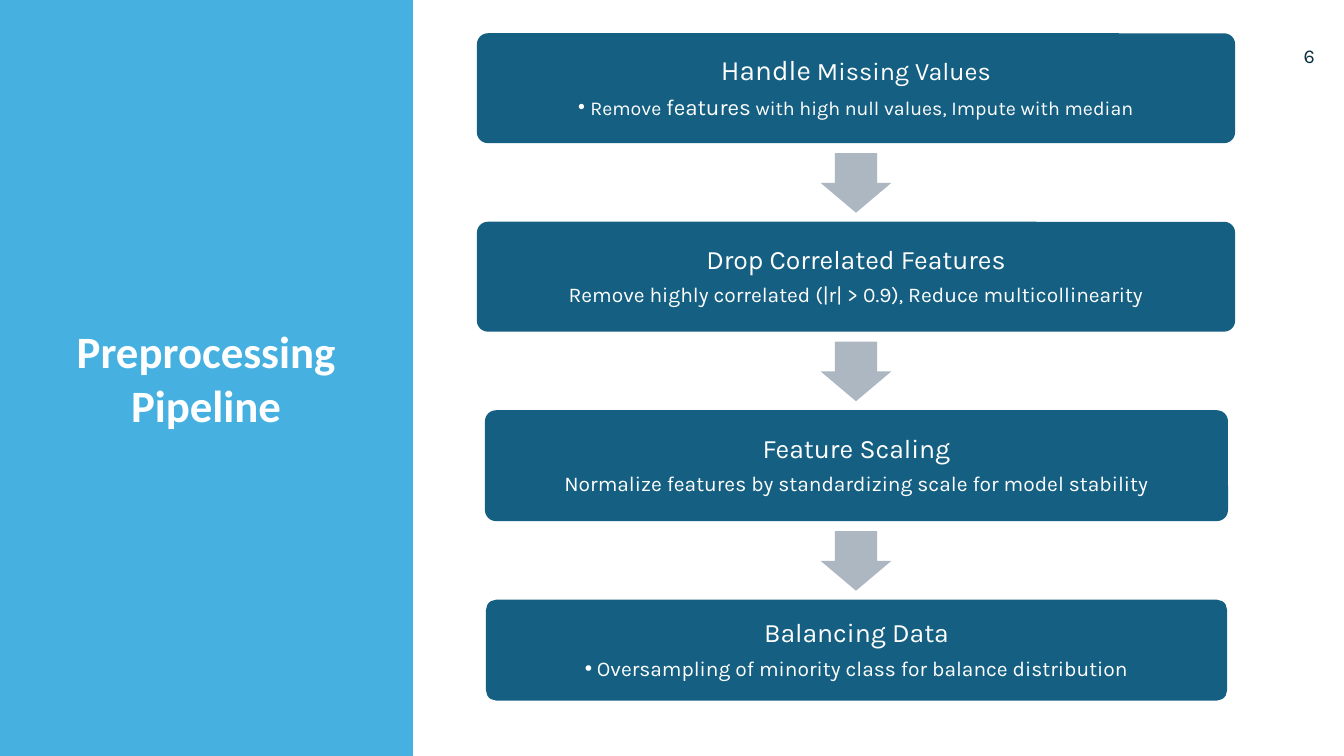
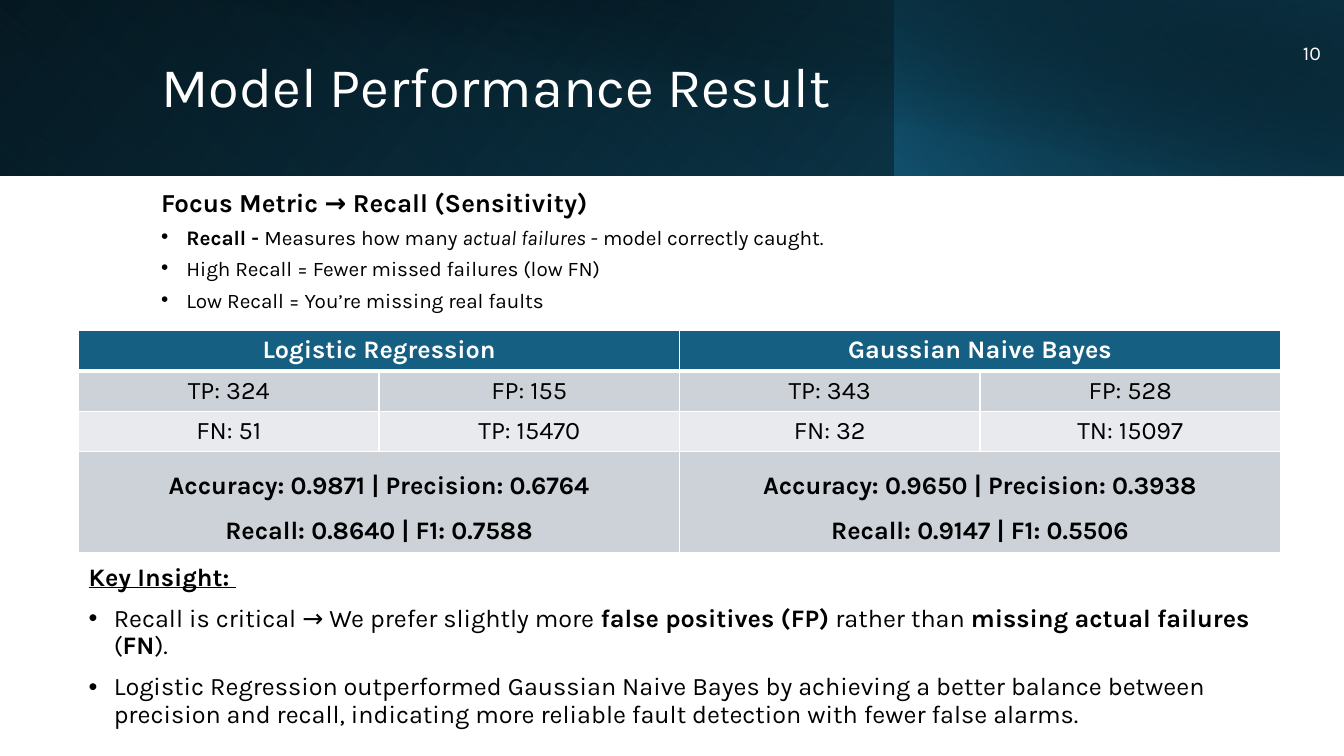
from dataclasses import dataclass
from typing import NamedTuple, Optional

from lxml import etree
from pptx import Presentation
from pptx import util as u
from pptx.dml.color import RGBColor
from pptx.enum import shapes, text
from pptx.oxml import ns

PX = 9144  # EMU per px, 100 px to the inch
WIDTH, HEIGHT = 1333, 750

WHITE = RGBColor(0xFF, 0xFF, 0xFF)
BLACK = RGBColor(0x00, 0x00, 0x00)
TEAL = RGBColor(0x15, 0x60, 0x82)
DEEP_TEAL = RGBColor(0x10, 0x48, 0x62)
NAVY = RGBColor(0x0B, 0x30, 0x41)
SKY = RGBColor(0x46, 0xB1, 0xE1)
ARROW_GREY = RGBColor(0xAC, 0xB7, 0xC1)
ROW_GREY = RGBColor(0xCC, 0xD2, 0xD8)
ROW_LIGHT = RGBColor(0xE8, 0xEA, 0xED)

BODY_FONT, PANEL_FONT = "Karla", "Calibri"
LEFT, CENTER, RIGHT = text.PP_ALIGN.LEFT, text.PP_ALIGN.CENTER, text.PP_ALIGN.RIGHT
RECTANGLE = shapes.MSO_SHAPE.RECTANGLE


class Box(NamedTuple):
    left: int
    top: int
    width: int
    height: int

    def emu(self) -> list[u.Emu]:
        return [u.Emu(length * PX) for length in self]


class Run(NamedTuple):
    text: str
    size: Optional[float] = None
    bold: Optional[bool] = None
    italic: Optional[bool] = None
    underline: Optional[bool] = None


@dataclass(frozen=True)
class Paragraph:
    runs: tuple[Run, ...]
    size: float
    color: RGBColor = BLACK
    bold: bool = False
    font: str = BODY_FONT
    align: text.PP_ALIGN = LEFT
    line_spacing: float = 1.0
    before: float = 0
    after: float = 0
    hanging: int = 0
    bullet: bool = False


class Card(NamedTuple):
    width: int
    height: int
    title: tuple[Run, ...]
    detail: tuple[Run, ...]
    title_size: float = 19
    detail_size: float = 15
    bullet: bool = False


class Stop(NamedTuple):
    position: int
    color: RGBColor
    opacity: int = 100


class Gradient(NamedTuple):
    box: Box
    angle: int  # clockwise, in degrees
    stops: tuple[Stop, Stop]


class Model(NamedTuple):
    name: str
    counts: tuple[tuple[str, str], tuple[str, str]]
    scores: tuple[str, str]


CARD_CENTER, CARD_TOP, CARD_GAP = 849, 33, 78
ARROW_WIDTH, ARROW_HEIGHT = 70, 59
CARDS = (
    Card(752, 109, (Run("Handle", 20), Run(" Missing Values")),
         (Run("Remove "), Run("features", 16),
          Run(" with high null values, Impute with median")), 18, 14, True),
    Card(752, 109, (Run("Drop Correlated Features"),),
         (Run("Remove highly correlated (|r| > 0.9), Reduce multicollinearity"),)),
    Card(737, 110, (Run("Feature Scaling"),),
         (Run("Normalize features by standardizing scale for model stability"),)),
    Card(735, 100, (Run("Balancing Data"),),
         (Run("Oversampling of minority class for balance distribution"),), bullet=True),
)

BAND_HEIGHT = 174
HEADER_BAND = (
    Gradient(Box(0, 0, WIDTH, BAND_HEIGHT), 40, (Stop(0, BLACK), Stop(100, DEEP_TEAL))),
    Gradient(Box(0, 0, 888, BAND_HEIGHT), 130, (Stop(20, TEAL, 0), Stop(100, NAVY, 55))),
    Gradient(Box(887, 0, 446, BAND_HEIGHT), 320, (Stop(0, TEAL, 66), Stop(100, BLACK, 30))),
    Gradient(Box(50, 0, 1283, BAND_HEIGHT + 1), 280, (Stop(50, BLACK, 0), Stop(99, NAVY, 52))),
)

FOCUS_POINTS = (
    (Run("Recall - ", bold=True), Run("Measures how many "),
     Run("actual failures", italic=True), Run(" - model correctly caught.")),
    (Run("High Recall = Fewer missed failures (low FN)"),),
    (Run("Low Recall = You’re missing real faults"),),
)
INSIGHTS = (
    (Run("Recall is critical → We prefer slightly more "),
     Run("false positives (FP)", bold=True), Run(" rather than "),
     Run("missing actual failures ", bold=True), Run("("), Run("FN", bold=True), Run(").")),
    (Run("Logistic Regression outperformed Gaussian Naive Bayes by achieving a better "
         "balance between precision and recall, indicating more reliable fault detection "
         "with fewer false alarms."),),
)
MODELS = (
    Model("Logistic Regression", (("TP: 324", "FP: 155"), ("FN: 51", "TP: 15470")),
          ("Accuracy: 0.9871 | Precision: 0.6764", "Recall: 0.8640 | F1: 0.7588")),
    Model("Gaussian Naive Bayes", (("TP: 343", "FP: 528"), ("FN: 32", "TN: 15097")),
          ("Accuracy: 0.9650 | Precision: 0.3938", "Recall: 0.9147 | F1: 0.5506")),
)
TABLE_BOX = Box(78, 328, 1192, 216)
ROW_HEIGHTS = (40, 39, 39, 98)


def write(frame, paragraphs: list[Paragraph]) -> None:
    """Fill an empty text frame with formatted paragraphs."""
    for index, spec_line in enumerate(paragraphs):
        paragraph = frame.paragraphs[0] if index == 0 else frame.add_paragraph()
        paragraph.alignment = spec_line.align
        paragraph.line_spacing = spec_line.line_spacing
        paragraph.space_before = u.Pt(spec_line.before)
        paragraph.space_after = u.Pt(spec_line.after)
        properties = paragraph._p.get_or_add_pPr()
        if spec_line.hanging:
            properties.set("marL", str(spec_line.hanging * PX))
            properties.set("indent", str(-spec_line.hanging * PX))
        if spec_line.bullet:
            etree.SubElement(properties, ns.qn("a:buFont")).set("typeface", "Arial")
            etree.SubElement(properties, ns.qn("a:buChar")).set("char", "•")
        font = paragraph.font
        font.name, font.size, font.bold = spec_line.font, u.Pt(spec_line.size), spec_line.bold
        font.color.rgb = spec_line.color
        for part in spec_line.runs:
            run = paragraph.add_run()
            run.text = part.text
            if part.size:
                run.font.size = u.Pt(part.size)
            run.font.bold = part.bold
            run.font.italic = part.italic
            run.font.underline = part.underline


def add_text(slide, box: Box, paragraphs: list[Paragraph]) -> None:
    frame = slide.shapes.add_textbox(*box.emu()).text_frame
    frame.word_wrap = True
    frame.vertical_anchor = text.MSO_ANCHOR.MIDDLE
    write(frame, paragraphs)


def add_plain_shape(slide, kind: shapes.MSO_SHAPE, box: Box, color: Optional[RGBColor] = None):
    """Add a shape without shadow or outline."""
    shape = slide.shapes.add_shape(kind, *box.emu())
    shape.shadow.inherit = False
    shape.line.fill.background()
    if color is not None:
        shape.fill.solid()
        shape.fill.fore_color.rgb = color
    return shape


def add_page_number(slide, box: Box, number: str, color: RGBColor) -> None:
    add_text(slide, box, [Paragraph((Run(number),), 14, color, align=RIGHT)])


def add_card(slide, card: Card, top: int) -> None:
    box = Box(CARD_CENTER - card.width // 2, top, card.width, card.height)
    shape = add_plain_shape(slide, shapes.MSO_SHAPE.ROUNDED_RECTANGLE, box, TEAL)
    shape.adjustments[0] = 0.1
    frame = shape.text_frame
    frame.word_wrap = True
    frame.vertical_anchor = text.MSO_ANCHOR.MIDDLE
    frame.margin_left = frame.margin_right = frame.margin_top = frame.margin_bottom = u.Emu(8 * PX)
    write(frame, [
        Paragraph(card.title, card.title_size, WHITE, align=CENTER, line_spacing=0.9, after=7),
        Paragraph(card.detail, card.detail_size, WHITE, align=CENTER, line_spacing=0.9,
                  after=2, hanging=12, bullet=card.bullet),
    ])


def add_arrow(slide, middle: int) -> None:
    box = Box(CARD_CENTER - ARROW_WIDTH // 2, middle - ARROW_HEIGHT // 2,
              ARROW_WIDTH, ARROW_HEIGHT)
    arrow = add_plain_shape(slide, shapes.MSO_SHAPE.DOWN_ARROW, box, ARROW_GREY)
    arrow.adjustments[0], arrow.adjustments[1] = 0.6, 0.5


def add_gradient(slide, gradient: Gradient) -> None:
    shape = add_plain_shape(slide, RECTANGLE, gradient.box)
    shape.fill.gradient()
    shape.fill.gradient_angle = 360 - gradient.angle
    for target, stop in zip(shape.fill.gradient_stops, gradient.stops):
        target.position = stop.position / 100
        target.color.rgb = stop.color
    colors = shape._element.spPr.iter(ns.qn("a:srgbClr"))
    for color, stop in zip(list(colors), gradient.stops):
        etree.SubElement(color, ns.qn("a:alpha")).set("val", str(stop.opacity * 1000))


def style_cell(cell, color: RGBColor, top_border: int, bottom_border: int) -> None:
    """Give a cell its fill and white borders, in points."""
    properties = cell._tc.get_or_add_tcPr()
    borders = {"lnL": 1, "lnR": 1, "lnT": top_border, "lnB": bottom_border}
    for side, points in borders.items():
        line = etree.SubElement(properties, ns.qn(f"a:{side}"), w=str(u.Pt(points)))
        fill = etree.SubElement(line, ns.qn("a:solidFill"))
        etree.SubElement(fill, ns.qn("a:srgbClr")).set("val", str(WHITE))
    cell.fill.solid()
    cell.fill.fore_color.rgb = color


def add_model_table(slide) -> None:
    table = slide.shapes.add_table(4, 4, *TABLE_BOX.emu()).table
    for column in table.columns:
        column.width = u.Emu(TABLE_BOX.width // 4 * PX)
    row_fills = (TEAL, ROW_GREY, ROW_LIGHT, ROW_GREY)
    for index, (height, color) in enumerate(zip(ROW_HEIGHTS, row_fills)):
        table.rows[index].height = u.Emu(height * PX)
        for cell in table.rows[index].cells:
            style_cell(cell, color, 3 if index == 1 else 1, 3 if index == 0 else 1)
    for index, model in enumerate(MODELS):
        first = index * 2
        for row in (0, 3):
            table.cell(row, first).merge(table.cell(row, first + 1))
        write(table.cell(0, first).text_frame,
              [Paragraph((Run(model.name),), 18, WHITE, True, align=CENTER)])
        for row, counts in enumerate(model.counts, start=1):
            for offset, count in enumerate(counts):
                write(table.cell(row, first + offset).text_frame,
                      [Paragraph((Run(count),), 18, align=CENTER)])
        write(table.cell(3, first).text_frame,
              [Paragraph((Run(score),), 18, bold=True, align=CENTER, line_spacing=1.5)
               for score in model.scores])


def build_pipeline(slide) -> None:
    top = CARD_TOP
    for index, card in enumerate(CARDS):
        if index:
            add_arrow(slide, top + CARD_GAP // 2)
            top += CARD_GAP
        add_card(slide, card, top)
        top += card.height
    panel = add_plain_shape(slide, RECTANGLE, Box(0, 0, 409, HEIGHT), SKY)
    panel.line.color.rgb = SKY
    panel.line.width = u.Pt(1.5)
    panel.text_frame.word_wrap = True
    panel.text_frame.vertical_anchor = text.MSO_ANCHOR.MIDDLE
    write(panel.text_frame, [Paragraph((Run("Preprocessing Pipeline"),), 32, WHITE, True,
                                       PANEL_FONT, CENTER)])
    add_page_number(slide, Box(1242, 35, 72, 40), "6", NAVY)


def build_results(slide) -> None:
    for gradient in HEADER_BAND:
        add_gradient(slide, gradient)
    add_text(slide, Box(150, 32, 1082, 113),
             [Paragraph((Run("Model Performance Result"),), 40, WHITE, line_spacing=0.9)])
    focus = [Paragraph((Run("Focus Metric → Recall (Sensitivity)"),), 18.5, bold=True,
                       line_spacing=0.7, before=10)]
    focus += [Paragraph(runs, 14.8, line_spacing=0.7, before=10, hanging=25, bullet=True)
              for runs in FOCUS_POINTS]
    add_text(slide, Box(150, 187, 1054, 129), focus)
    add_page_number(slide, Box(1271, 32, 49, 40), "10", WHITE)
    add_model_table(slide)
    insight = [Paragraph((Run("Key Insight: ", underline=True),), 18, bold=True,
                         line_spacing=0.9, before=10)]
    insight += [Paragraph(runs, 18, line_spacing=0.9, before=10, hanging=25, bullet=True)
                for runs in INSIGHTS]
    add_text(slide, Box(78, 548, 1192, 187), insight)


def main() -> None:
    presentation = Presentation()
    presentation.slide_width, presentation.slide_height = u.Emu(WIDTH * PX), u.Emu(HEIGHT * PX)
    blank = presentation.slide_layouts[6]
    for build in (build_pipeline, build_results):
        build(presentation.slides.add_slide(blank))
    presentation.save("out.pptx")


if __name__ == "__main__":
    main()
